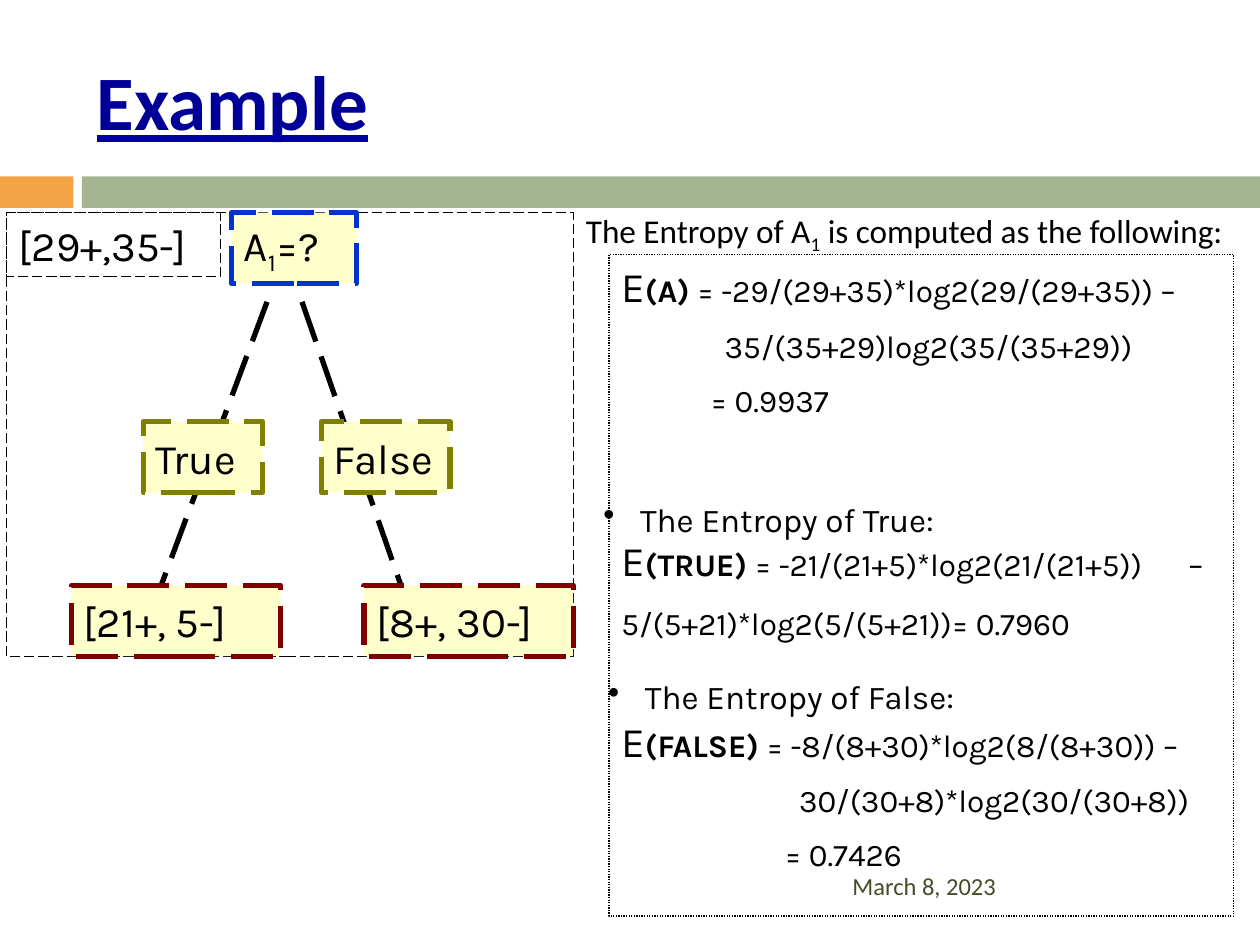
from pptx import Presentation
from pptx.dml.color import RGBColor
from pptx.enum.dml import MSO_LINE
from pptx.enum.shapes import MSO_CONNECTOR, MSO_SHAPE
from pptx.enum.text import MSO_ANCHOR, PP_ALIGN
from pptx.oxml.xmlchemy import OxmlElement
from pptx.util import Pt


def color(value):
    return RGBColor.from_string(value)


def add_span(para, text, size=18, font="Karla", fill="000000", bold=False,
             underline=False, subscript=False):
    span = para.add_run()
    span.text = text
    span.font.size = Pt(size)
    span.font.name = font
    span.font.bold = bold
    span.font.underline = underline
    span.font.color.rgb = color(fill)
    if subscript:
        span.font._element.set("baseline", "-25000")


def add_subscripted(para, parts, **formatting):
    for index, part in enumerate(parts):
        add_span(para, part, subscript=index == 1, **formatting)


def set_paragraph(para, before=0, indent=0, hanging=0, bullet=None):
    para.alignment = PP_ALIGN.LEFT
    para.space_before = Pt(before)
    properties = para._p.get_or_add_pPr()
    properties.set("marL", str(Pt(indent)))
    properties.set("indent", str(Pt(-hanging)))
    mark = OxmlElement("a:buChar" if bullet else "a:buNone")
    if bullet:
        mark.set("char", bullet)
    properties.append(mark)


def place(shape, box):
    shape.left, shape.top, shape.width, shape.height = map(Pt, box)


def add_box(shapes, box, fill=None, line=None, width=0.75,
            dash=MSO_LINE.LONG_DASH, anchor=MSO_ANCHOR.MIDDLE):
    shape = shapes.add_shape(MSO_SHAPE.RECTANGLE, *map(Pt, box))
    shape.shadow.inherit = False
    if fill:
        shape.fill.solid()
        shape.fill.fore_color.rgb = color(fill)
    else:
        shape.fill.background()
    if line:
        shape.line.color.rgb = color(line)
        shape.line.width = Pt(width)
        shape.line.dash_style = dash
    else:
        shape.line.fill.background()
    shape.text_frame.word_wrap = True
    shape.text_frame.vertical_anchor = anchor
    return shape


def add_branch(shapes, start, end):
    branch = shapes.add_connector(MSO_CONNECTOR.STRAIGHT, *map(Pt, start + end))
    branch.line.color.rgb = color("000000")
    branch.line.width = Pt(3)
    branch.line.dash_style = MSO_LINE.LONG_DASH
    branch._element.spPr.append(OxmlElement("a:effectLst"))


def add_header(page, box):
    left, top, width, height = box
    add_box(page.shapes, (left, top, 42, height), fill="F3A447")
    add_box(page.shapes, (left + 46.8, top, width - 46.8, height), fill="A5B592")
    title = page.shapes.title
    place(title, (left + 48, top - 82.8, 642, 78))
    title.text_frame.vertical_anchor = MSO_ANCHOR.MIDDLE
    para = title.text_frame.paragraphs[0]
    set_paragraph(para)
    add_span(para, "Example", size=44, font="Calibri", fill="000099",
             bold=True, underline=True)


def add_introduction(page, box):
    body = page.placeholders[1]
    place(body, box)
    para = body.text_frame.paragraphs[0]
    set_paragraph(para, indent=25, hanging=25)
    add_subscripted(para, ("The Entropy of A", "1", " is computed as the following:"),
                    size=19, font="Calibri")


def add_tree(page, box):
    left, top, width, height = box
    shapes = page.shapes.add_group_shape().shapes
    add_box(shapes, box, line="000000")
    for start, end in ((149, 88.5), (169, 225.5)):
        add_branch(shapes, (left + start, top + 51), (left + end, top + 213))
    node_height = 40.5
    middle, bottom = 119.5, height - node_height
    nodes = (
        (128.7, 0, 71.5, "0033CC", ("A", "1", "=?")),
        (78.3, middle, 68, "808000", ("True",)),
        (180, middle, 73.5, "808000", ("False",)),
        (37.2, bottom, 119.5, "800000", ("[21+, 5-]",)),
        (204.5, bottom, 119.5, "800000", ("[8+, 30-]",)),
    )
    for x, y, node_width, line, parts in nodes:
        node = add_box(shapes, (left + x, top + y, node_width, node_height),
                       fill="FFFFCC", line=line, width=3)
        para = node.text_frame.paragraphs[0]
        set_paragraph(para)
        add_subscripted(para, parts, size=24)
    count = add_box(shapes, (left, top, 122.4, 36.7), line="000000")
    para = count.text_frame.paragraphs[0]
    set_paragraph(para)
    add_span(para, "[29+,35-]", size=24)


def add_tab_stop(para, position):
    stops = OxmlElement("a:tabLst")
    stop = OxmlElement("a:tab")
    stop.set("pos", str(Pt(position)))
    stop.set("algn", "l")
    stops.append(stop)
    para._p.get_or_add_pPr().append(stops)


def add_formulas(page, box):
    frame = add_box(page.shapes, box, line="000000", dash=MSO_LINE.ROUND_DOT,
                    anchor=MSO_ANCHOR.TOP).text_frame
    lines = (
        ("(A)", " = -29/(29+35)*log2(29/(29+35)) – ", 0, 0),
        (None, "35/(35+29)log2(35/(35+29))", 9, 59),
        (None, "= 0.9937", 9, 51),
        ("(TRUE)", " = -21/(21+5)*log2(21/(21+5))\t– 5/(5+21)*log2(5/(5+21))= 0.7960", 52, 0),
        ("(FALSE)", " = -8/(8+30)*log2(8/(8+30)) – ", 42, 0),
        (None, "30/(30+8)*log2(30/(30+8))", 9, 101.5),
        (None, "= 0.7426", 9, 93.5),
    )
    for index, (subject, formula, before, indent) in enumerate(lines):
        para = frame.add_paragraph() if index else frame.paragraphs[0]
        set_paragraph(para, before=before, indent=indent)
        if subject:
            add_span(para, "E", size=24)
            add_span(para, subject, bold=True)
        if "\t" in formula:
            para.line_spacing = 1.5
            add_tab_stop(para, 327)
        add_span(para, formula)


def add_label(page, box, text, anchor=MSO_ANCHOR.MIDDLE, indent=0, bullet=None, **formatting):
    frame = page.shapes.add_textbox(*map(Pt, box)).text_frame
    frame.word_wrap = True
    frame.vertical_anchor = anchor
    para = frame.paragraphs[0]
    set_paragraph(para, indent=indent, hanging=indent, bullet=bullet)
    add_span(para, text, **formatting)


deck = Presentation()
deck.slide_width, deck.slide_height = Pt(720), Pt(540)
page = deck.slides.add_slide(deck.slide_layouts[1])
add_header(page, (0, 100.8, 720, 18))
add_introduction(page, (327.6, 116.6, 389, 42))
add_tree(page, (3.6, 121.5, 324, 253.5))
add_formulas(page, (348, 145.5, 357, 378))
for branch, left, top in (("True", 337.7, 281.5), ("False", 340.5, 383)):
    add_label(page, (left, top, 280, 30), f"The Entropy of {branch}:",
              size=19, indent=21, bullet="•")
add_label(page, (480, 492, 210, 28.8), "March 8, 2023", size=14,
          font="Calibri", fill="444D26")
deck.save("out.pptx")
